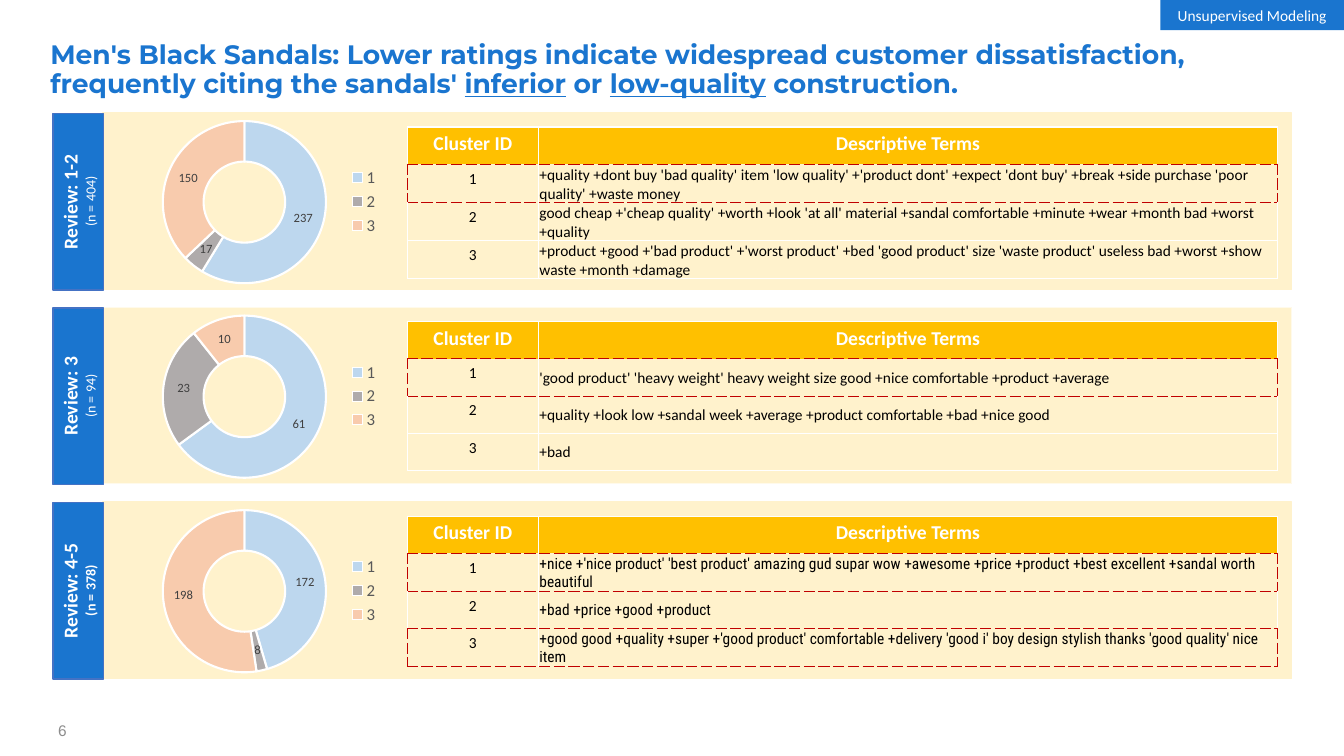
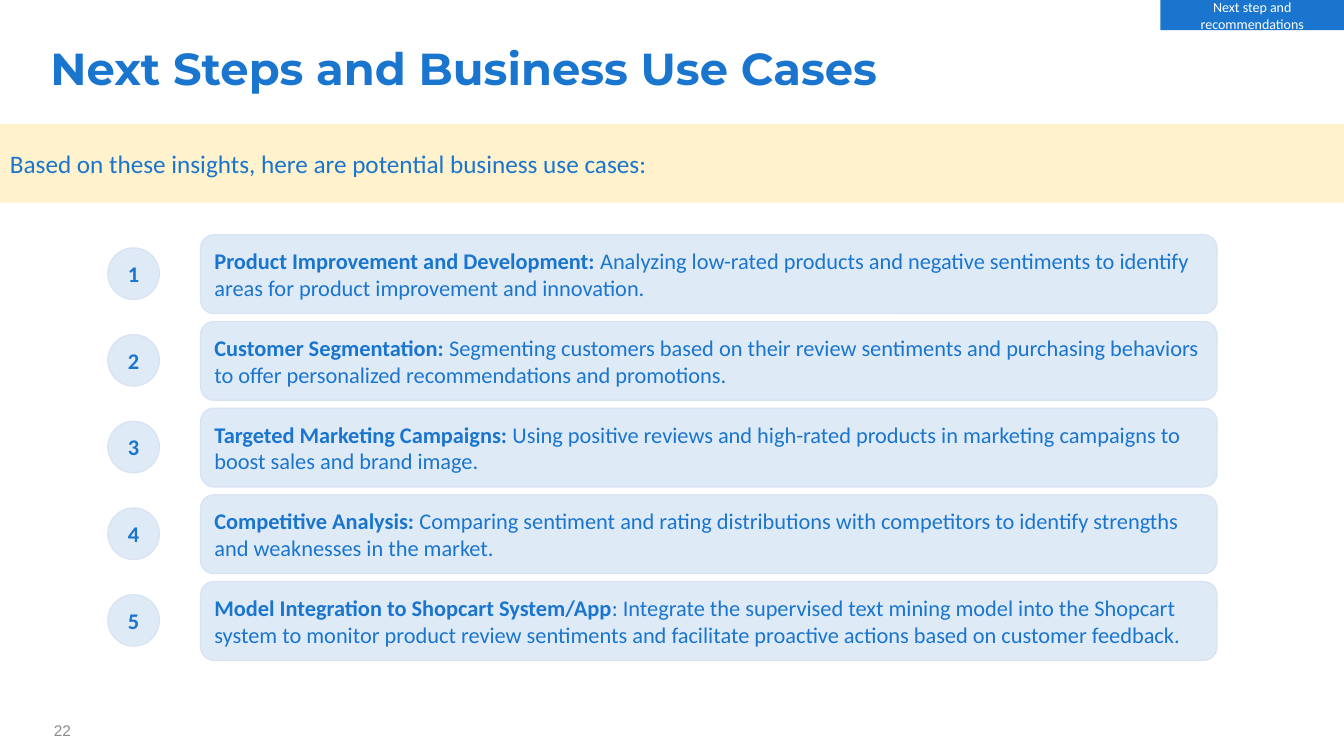
"""Builds two slides: rating clusters for black sandals, and next steps."""
from lxml import etree
from pptx import Presentation
from pptx.chart.data import CategoryChartData
from pptx.dml.color import RGBColor
from pptx.enum.chart import XL_CHART_TYPE, XL_LEGEND_POSITION
from pptx.enum.shapes import MSO_SHAPE
from pptx.enum.text import MSO_ANCHOR, MSO_AUTO_SIZE, PP_ALIGN
from pptx.oxml import parse_xml
from pptx.oxml.ns import nsdecls, qn
from pptx.util import Inches, Pt

DOUGHNUT = XL_CHART_TYPE.DOUGHNUT
LEGEND_RIGHT = XL_LEGEND_POSITION.RIGHT
RECTANGLE, ROUNDED, OVAL = MSO_SHAPE.RECTANGLE, MSO_SHAPE.ROUNDED_RECTANGLE, MSO_SHAPE.OVAL
TOP, MIDDLE = MSO_ANCHOR.TOP, MSO_ANCHOR.MIDDLE
NO_AUTOFIT = MSO_AUTO_SIZE.NONE
LEFT, CENTER = PP_ALIGN.LEFT, PP_ALIGN.CENTER

BLUE, CREAM, AMBER, RED = "1A75CF", "FFF2CC", "FFC000", "C00000"
WHITE, BLACK, PALE_BLUE, PALE_EDGE = "FFFFFF", "000000", "DEEBF7", "DAE3F3"
SLICE_COLORS = ["BDD7EE", "AFABAB", "F8CBAD"]
BODY_FONT, TITLE_FONT, NARROW_FONT = "Calibri", "Montserrat", "Roboto Condensed"
SLIDE_WIDTH = 13.33
PLOT_LAYOUT = {"x": 0.074, "y": 0.007, "w": 0.769, "h": 0.993}

CLUSTER_TITLE = [
    ("Men's Black Sandals: Lower ratings indicate widespread customer dissatisfaction, "
     "frequently citing the sandals' ", {}),
    ("inferior", {"underline": True}),
    (" or ", {}),
    ("low-quality", {"underline": True}),
    (" construction.", {}),
]
HEADERS = ["Cluster ID", "Descriptive Terms"]
REVIEWS = [
    {"label": "Review: 1-2", "count": "(n = 404)", "bold_count": False, "edge": CREAM,
     "sizes": [237, 17, 150], "font": BODY_FONT, "highlights": {1},
     "terms": [
         "+quality +dont buy 'bad quality' item 'low quality' +'product dont' +expect "
         "'dont buy' +break +side purchase 'poor quality' +waste money",
         "good cheap +'cheap quality' +worth +look 'at all' material +sandal comfortable "
         "+minute +wear +month bad +worst +quality",
         "+product +good +'bad product' +'worst product' +bed 'good product' size "
         "'waste product' useless bad +worst +show waste +month +damage"]},
    {"label": "Review: 3", "count": "(n = 94)", "bold_count": False, "edge": "FFFAEB",
     "sizes": [61, 23, 10], "font": BODY_FONT, "highlights": {1},
     "terms": [
         "'good product' 'heavy weight' heavy weight size good +nice comfortable "
         "+product +average",
         "+quality +look low +sandal week +average +product comfortable +bad +nice good",
         "+bad"]},
    {"label": "Review: 4-5", "count": "(n = 378)", "bold_count": True, "edge": CREAM,
     "sizes": [172, 8, 198], "font": NARROW_FONT, "highlights": {1, 3},
     "terms": [
         "+nice +'nice product' 'best product' amazing gud supar wow +awesome +price "
         "+product +best excellent +sandal worth beautiful",
         "+bad +price +good +product",
         "+good good +quality +super +'good product' comfortable +delivery 'good i' boy "
         "design stylish thanks 'good quality' nice item"]},
]
USE_CASES = [
    ("Product Improvement and Development: ",
     "Analyzing low-rated products and negative sentiments to identify areas for product "
     "improvement and innovation."),
    ("Customer Segmentation: ",
     "Segmenting customers based on their review sentiments and purchasing behaviors to "
     "offer personalized recommendations and promotions."),
    ("Targeted Marketing Campaigns: ",
     "Using positive reviews and high-rated products in marketing campaigns to boost sales "
     "and brand image."),
    ("Competitive Analysis: ",
     "Comparing sentiment and rating distributions with competitors to identify strengths "
     "and weaknesses in the market."),
    ("Model Integration to Shopcart System/App",
     ": Integrate the supervised text mining model into the Shopcart system to monitor "
     "product review sentiments and facilitate proactive actions based on customer feedback."),
]


def rgb(color):
    return RGBColor.from_string(color)


def format_font(font, size, color, name=BODY_FONT, bold=False, underline=False):
    font.size, font.name, font.bold = Pt(size), name, bold
    font.color.rgb = rgb(color)
    if underline:
        font.underline = True


def write_text(frame, *paragraphs, align=LEFT, anchor=MIDDLE, spacing=None, **font):
    """Each paragraph is a string or a list of (text, font overrides) spans."""
    frame.word_wrap = True
    frame.vertical_anchor = anchor
    for index, spans in enumerate(paragraphs):
        para = frame.add_paragraph() if index else frame.paragraphs[0]
        para.alignment = align
        if spacing:
            para.line_spacing = spacing
        for text, overrides in [(spans, {})] if isinstance(spans, str) else spans:
            span = para.add_run()
            span.text = text
            format_font(span.font, **{**font, **overrides})


def set_margins(target, left, top, right, bottom):
    target.margin_left, target.margin_top = Inches(left), Inches(top)
    target.margin_right, target.margin_bottom = Inches(right), Inches(bottom)


def add_box(page, kind, left, top, width, height, fill, edge=None):
    box = page.shapes.add_shape(kind, Inches(left), Inches(top), Inches(width), Inches(height))
    box.shadow.inherit = False
    box.fill.solid()
    box.fill.fore_color.rgb = rgb(fill)
    if edge:
        box.line.color.rgb = rgb(edge)
        box.line.width = Pt(1)
    else:
        box.line.fill.background()
    return box


def add_page(deck, title, title_size, section, section_size, number):
    page = deck.slides.add_slide(deck.slide_layouts[5])
    heading = page.shapes.title
    heading.left, heading.top = Inches(0.4), Inches(0.31)
    heading.width, heading.height = Inches(12.52), Inches(0.78)
    heading.text_frame.auto_size = NO_AUTOFIT
    write_text(heading.text_frame, title, spacing=0.9, size=title_size, color=BLUE,
               name=TITLE_FONT, bold=True)
    tag = add_box(page, RECTANGLE, 11.51, 0, 1.82, 0.3, BLUE)
    write_text(tag.text_frame, section, align=CENTER, size=section_size, color=WHITE)
    footer = page.shapes.add_textbox(Inches(0.4), Inches(7.14), Inches(0.44), Inches(0.21))
    write_text(footer.text_frame, number, align=CENTER, size=11, color="8C8C8C", name="Arial")
    return page


def add_doughnut(page, top, sizes):
    data = CategoryChartData()
    data.categories = [str(index + 1) for index in range(len(sizes))]
    data.add_series("Series 1", sizes)
    chart = page.shapes.add_chart(DOUGHNUT, Inches(1.21), Inches(top), Inches(2.65),
                                  Inches(1.63), data).chart
    chart.has_title = False
    format_font(chart.font, 10, BLACK)
    chart.has_legend = True
    chart.legend.position = LEGEND_RIGHT
    chart.legend.include_in_layout = False
    format_font(chart.legend.font, 12, "595959")
    plot = chart.plots[0]
    plot.vary_by_categories = True
    plot.has_data_labels = True
    labels = plot.data_labels
    labels.show_value, labels.show_percentage = True, False
    format_font(labels.font, 9, "404040")
    for index, color in enumerate(SLICE_COLORS):
        piece = plot.series[0].points[index].format
        piece.fill.solid()
        piece.fill.fore_color.rgb = rgb(color)
        piece.line.color.rgb = rgb(WHITE)
        piece.line.width = Pt(1.5)
    area = chart.element.find(".//" + qn("c:plotArea"))
    for old_layout in area.findall(qn("c:layout")):
        area.remove(old_layout)
    layout = parse_xml(f"<c:layout {nsdecls('c')}><c:manualLayout/></c:layout>")
    settings = [("layoutTarget", "inner"), ("xMode", "edge"), ("yMode", "edge")]
    for name, value in settings + list(PLOT_LAYOUT.items()):
        etree.SubElement(layout[0], qn("c:" + name)).set("val", str(value))
    area.insert(0, layout)


def set_borders(cell, dashed_sides):
    properties = cell._tc.get_or_add_tcPr()
    for index, side in enumerate("LRTB"):
        color, dash = (RED, "lgDash") if side in dashed_sides else (WHITE, "solid")
        properties.insert(index, parse_xml(
            f'<a:ln{side} {nsdecls("a")} w="12700"><a:solidFill><a:srgbClr val="{color}"/>'
            f'</a:solidFill><a:prstDash val="{dash}"/></a:ln{side}>'))


def add_terms_table(page, top, review):
    rows = [HEADERS] + [[str(index), terms] for index, terms in enumerate(review["terms"], 1)]
    highlights = review["highlights"]
    table = page.shapes.add_table(len(rows), 2, Inches(4.04), Inches(top), Inches(8.63),
                                  Inches(1.48)).table
    for column, width in zip(table.columns, (1.3, 7.33)):
        column.width = Inches(width)
    for row, values in enumerate(rows):
        table.rows[row].height = Inches(0.37)
        for column, value in enumerate(values):
            cell = table.cell(row, column)
            cell.fill.solid()
            cell.fill.fore_color.rgb = rgb(CREAM if row else AMBER)
            is_terms = row > 0 and column == 1
            if is_terms:
                set_margins(cell, 0.01, 0.01, 0.01, 0)
            write_text(cell.text_frame, value, align=LEFT if is_terms else CENTER,
                       size=11 if row else 14, color=BLACK if row else WHITE, bold=not row,
                       name=review["font"] if is_terms else BODY_FONT)
            cell.vertical_anchor = MIDDLE if is_terms else TOP
            sides = "LR"[column] if row in highlights else ""
            sides += "T" if highlights & {row, row - 1} else ""
            sides += "B" if highlights & {row, row + 1} else ""
            set_borders(cell, sides)


def add_review_band(page, top, review):
    add_box(page, RECTANGLE, 1.02, top, 11.79, 1.75, CREAM, review["edge"])
    label = add_box(page, RECTANGLE, -0.1, top + 0.63, 1.75, 0.5, BLUE, "4472C4")
    label.rotation = 270
    set_margins(label.text_frame, 0, 0, 0, 0)
    count = [(review["count"], {"size": 10, "bold": review["bold_count"]})]
    write_text(label.text_frame, review["label"], count, align=CENTER, size=14, color=WHITE,
               bold=True)
    add_doughnut(page, top + 0.07, review["sizes"])
    add_terms_table(page, top + 0.14, review)


def add_use_case(page, top, number, name, detail):
    badge = add_box(page, OVAL, 1.07, top + 0.13, 0.51, 0.51, PALE_BLUE, PALE_EDGE)
    write_text(badge.text_frame, str(number), align=CENTER, size=16, color=BLUE, bold=True)
    card = add_box(page, ROUNDED, 1.99, top, 10.08, 0.78, PALE_BLUE, PALE_EDGE)
    write_text(card.text_frame, [(name, {"bold": True}), (detail, {})], size=16, color=BLUE)


def main():
    deck = Presentation()
    deck.slide_width, deck.slide_height = Inches(SLIDE_WIDTH), Inches(7.5)

    page = add_page(deck, CLUSTER_TITLE, 19, "Unsupervised Modeling", 11, "6")
    for index, review in enumerate(REVIEWS):
        add_review_band(page, 1.12 + 1.93 * index, review)

    page = add_page(deck, "Next Steps and Business Use Cases", 32,
                    "Next step and recommendations", 10, "22")
    intro = add_box(page, RECTANGLE, 0, 1.23, SLIDE_WIDTH, 0.78, CREAM)
    write_text(intro.text_frame, "Based on these insights, here are potential business use cases:",
               size=18, color=BLUE)
    for index, (name, detail) in enumerate(USE_CASES):
        add_use_case(page, 2.33 + 0.86 * index, index + 1, name, detail)

    deck.save("out.pptx")


if __name__ == "__main__":
    main()
